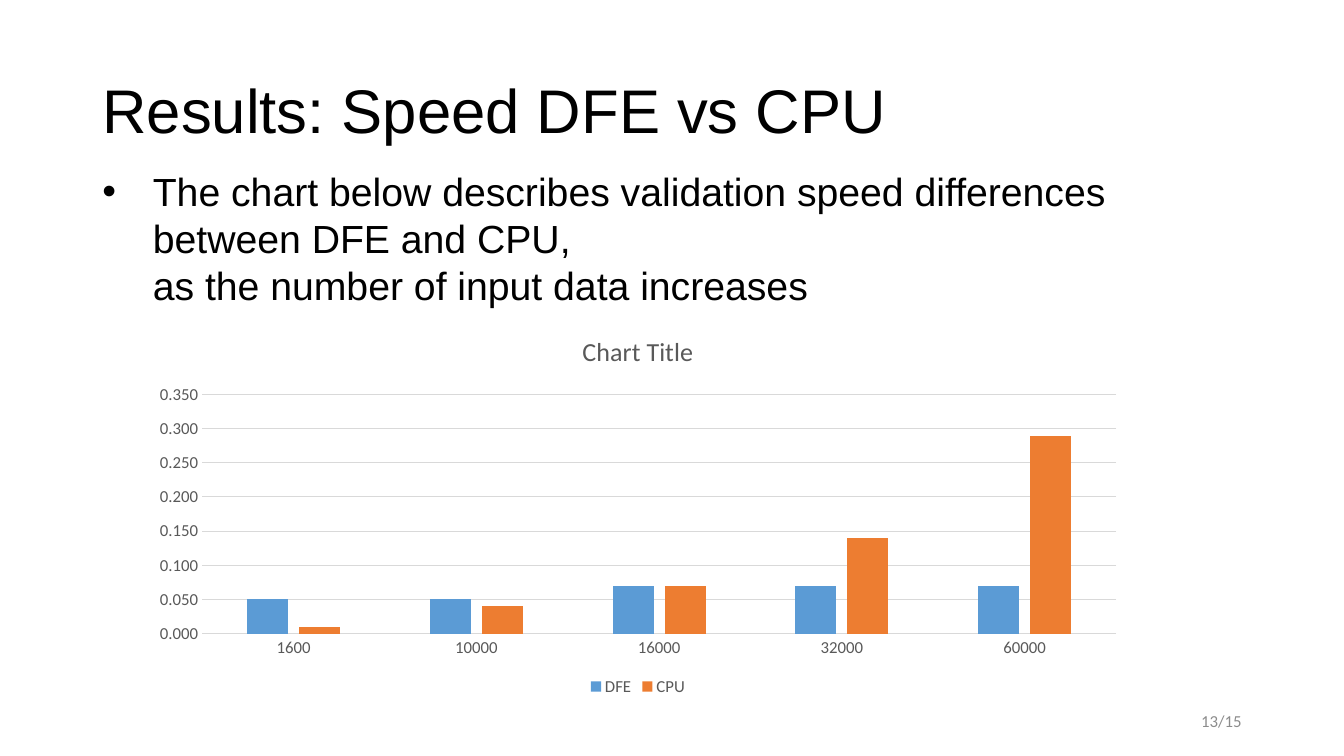
from lxml import etree
from pptx import Presentation
from pptx.chart.data import CategoryChartData
from pptx.dml.color import RGBColor
from pptx.enum.chart import XL_CHART_TYPE, XL_LEGEND_POSITION, XL_TICK_MARK
from pptx.enum.text import MSO_ANCHOR, MSO_AUTO_SIZE, PP_ALIGN
from pptx.oxml.ns import qn
from pptx.util import Pt

COLUMNS = XL_CHART_TYPE.COLUMN_CLUSTERED
BOTTOM = XL_LEGEND_POSITION.BOTTOM
NO_TICK = XL_TICK_MARK.NONE
NO_AUTOFIT = MSO_AUTO_SIZE.NONE
MIDDLE, TOP = MSO_ANCHOR.MIDDLE, MSO_ANCHOR.TOP
LEFT, RIGHT = PP_ALIGN.LEFT, PP_ALIGN.RIGHT

# Content
TITLE = "Results: Speed DFE vs CPU"
BODY = ("The chart below describes validation speed differences \v"
        "between DFE and CPU, \vas the number of input data increases")
PAGE = "13/15"
CHART_TITLE = "Chart Title"
INPUT_SIZES = ["1600", "10000", "16000", "32000", "60000"]
SERIES = [
    ("DFE", [0.05, 0.05, 0.07, 0.07, 0.07], "5B9BD5"),
    ("CPU", [0.01, 0.04, 0.07, 0.14, 0.29], "ED7D31"),
]
BLACK, DARK_GRAY, GRAY, GRID = "000000", "595959", "8C8C8C", "D9D9D9"

# Left, top, width, height in points
TITLE_BOX = (66, 28.8, 828, 104.4)
BODY_BOX = (66, 115.9, 901.4, 108.7)
CHART_BOX = (100, 225.4, 711.4, 275)
PAGE_BOX = (678, 500.4, 216, 28.8)


def color(hex_string):
    return RGBColor.from_string(hex_string)


def style_font(font, size, hex_string, name="Calibri"):
    font.size, font.name, font.bold = Pt(size), name, False
    font.color.rgb = color(hex_string)


def fill_text(shape, box, text, size, hex_string, name, align, anchor):
    shape.left, shape.top, shape.width, shape.height = map(Pt, box)
    frame = shape.text_frame
    frame.word_wrap = True
    frame.auto_size = NO_AUTOFIT
    frame.vertical_anchor = anchor
    paragraph = frame.paragraphs[0]
    paragraph.text = text
    paragraph.alignment = align
    paragraph.space_before = Pt(0)
    for run in paragraph.runs:
        style_font(run.font, size, hex_string, name)
    return paragraph


def style_line(line, hex_string):
    line.color.rgb = color(hex_string)
    line.width = Pt(0.75)


presentation = Presentation()
presentation.slide_width, presentation.slide_height = Pt(960), Pt(540)
slide = presentation.slides.add_slide(presentation.slide_layouts[1])

# Title
title = fill_text(slide.shapes.title, TITLE_BOX, TITLE, 44, BLACK, "Arial", LEFT, MIDDLE)
title.line_spacing = 0.9

# Bullet; line breaks take the size and font of the text
body = fill_text(slide.placeholders[1], BODY_BOX, BODY, 28, BLACK, "Arial", LEFT, TOP)
body.line_spacing = 1.0
properties = body._p.get_or_add_pPr()
properties.set("marL", str(Pt(36)))
properties.set("indent", str(Pt(-36)))
for line_break in body._p.findall(qn("a:br")):
    break_font = etree.SubElement(line_break, qn("a:rPr"), sz="2800")
    etree.SubElement(break_font, qn("a:latin"), typeface="Arial")

# Chart
chart_data = CategoryChartData(number_format="0.000")
chart_data.categories = INPUT_SIZES
for name, values, _ in SERIES:
    chart_data.add_series(name, values)
chart = slide.shapes.add_chart(COLUMNS, *map(Pt, CHART_BOX), chart_data).chart
style_font(chart.font, 12, DARK_GRAY)
chart.has_title = True
chart.chart_title.text_frame.text = CHART_TITLE
style_font(chart.chart_title.text_frame.paragraphs[0].runs[0].font, 18.6, DARK_GRAY)
chart.has_legend = True
chart.legend.position = BOTTOM
chart.legend.include_in_layout = False
style_font(chart.legend.font, 12, DARK_GRAY)

plot = chart.plots[0]
plot.gap_width, plot.overlap = 219, -27
plot.vary_by_categories = False
for series, (_, _, fill) in zip(plot.series, SERIES):
    series.format.fill.solid()
    series.format.fill.fore_color.rgb = color(fill)
    series.invert_if_negative = False

for axis in (chart.category_axis, chart.value_axis):
    axis.major_tick_mark = axis.minor_tick_mark = NO_TICK
    style_font(axis.tick_labels.font, 12, DARK_GRAY)
style_line(chart.category_axis.format.line, GRID)
value_axis = chart.value_axis
value_axis.format.line.fill.background()
style_line(value_axis.major_gridlines.format.line, GRID)
value_axis.minimum_scale, value_axis.maximum_scale = 0, 0.35
value_axis.major_unit = 0.05
value_axis.tick_labels.number_format = "0.000"
value_axis.tick_labels.number_format_is_linked = False

# Page number
page = slide.shapes.add_textbox(*map(Pt, PAGE_BOX))
fill_text(page, PAGE_BOX, PAGE, 12, GRAY, "Calibri", RIGHT, MIDDLE)

presentation.save("out.pptx")
